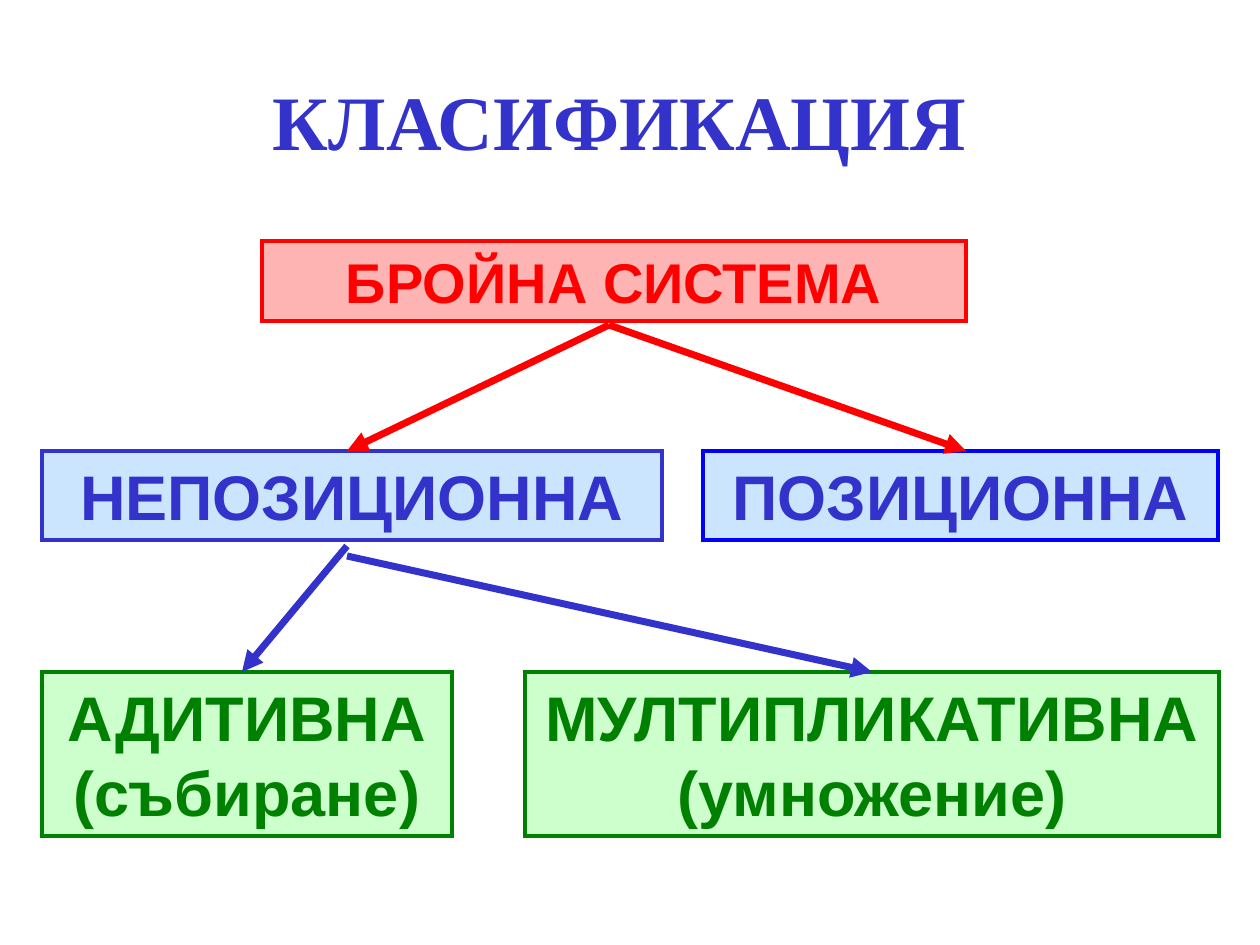
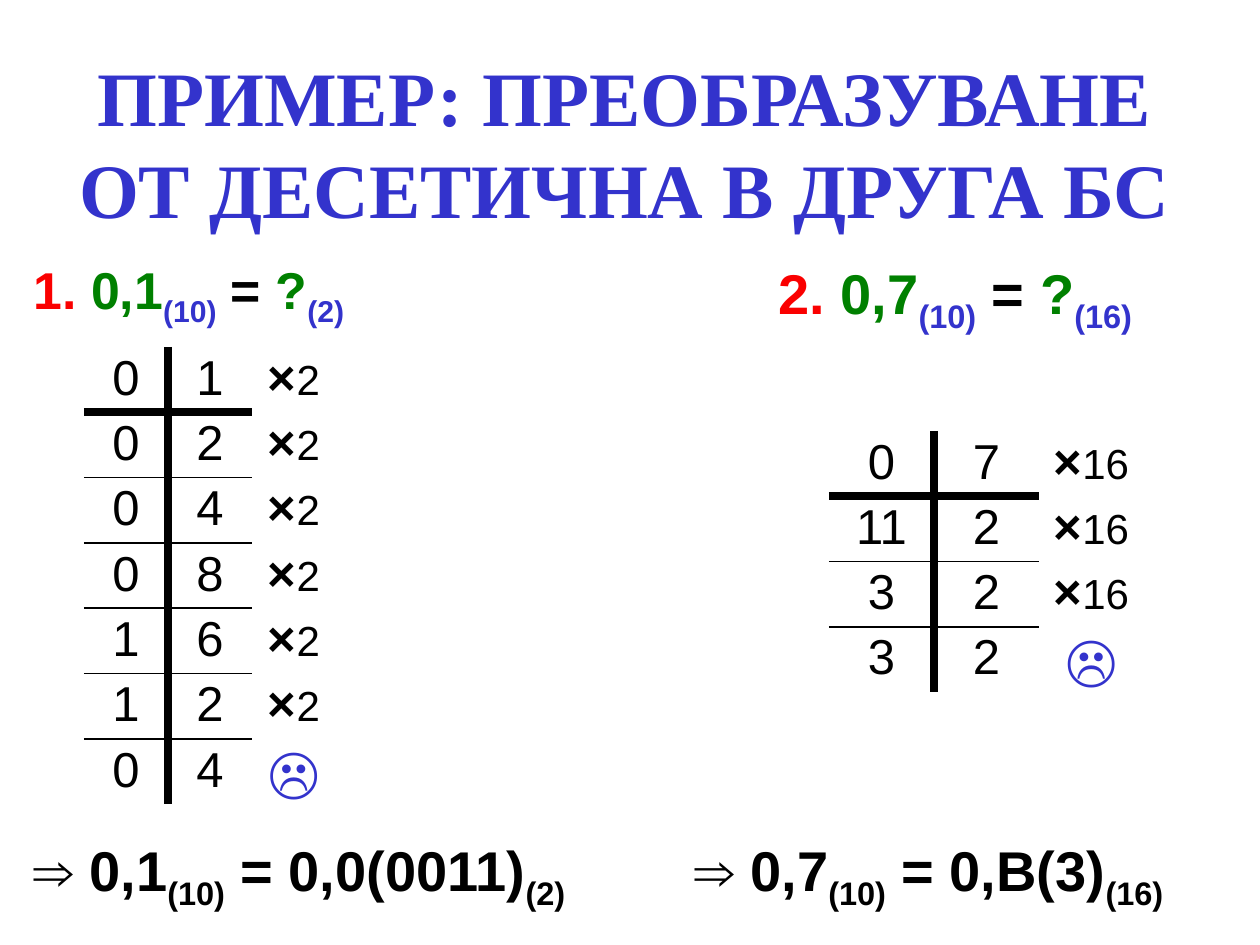
from lxml.etree import SubElement
from pptx import Presentation
from pptx.dml.color import RGBColor
from pptx.enum.shapes import MSO_CONNECTOR as Connector, MSO_SHAPE as Preset
from pptx.enum.text import MSO_ANCHOR as Anchor, PP_ALIGN as Align
from pptx.oxml.ns import qn
from pptx.util import Emu, Pt

COLORS = {
    "blue": "3333CC", "pure_blue": "0000FF", "sky": "99CCFF",
    "red": "FF0000", "number_red": "FA0000", "rose": "FF6B6B",
    "green": "008000", "mint": "CCFFCC", "black": "000000",
}
SCALE = 914400 / 126
TOP = 0
SUBSCRIPT = "-25000"
THICK, THIN = 4.5, 1

CLASSES = {
    "system": dict(text="БРОЙНА СИСТЕМА", box=(262, 241, 704, 80), size=32,
                   fill="rose", opacity=50, line="red", color="red"),
    "nonpositional": dict(text="НЕПОЗИЦИОННА", box=(42, 451, 620, 89), size=36,
                          fill="sky", opacity=50, line="blue", color="blue"),
    "positional": dict(text="ПОЗИЦИОННА", box=(703, 451, 515, 89), size=36,
                       fill="sky", opacity=50, line="pure_blue", color="blue"),
    "additive": dict(text="АДИТИВНА\n(събиране)", box=(42, 672, 410, 164), size=36,
                     fill="mint", opacity=100, line="green", color="green"),
    "multiplicative": dict(text="МУЛТИПЛИКАТИВНА\n(умножение)", box=(525, 672, 694, 164),
                           size=36, fill="mint", opacity=100, line="green", color="green"),
}
BRANCHES = [
    dict(start=(609, 325), end=(347, 451), color="red"),
    dict(start=(609, 325), end=(966, 451), color="red"),
    dict(start=(347, 546), end=(242, 672), color="blue"),
    dict(start=(347, 556), end=(872, 672), color="blue", child="multiplicative"),
]
EXAMPLES = [
    dict(number="1. ", value="0,1", base="2", answer="0,0(0011)",
         steps=["01", "02", "04", "08", "16", "12", "04"],
         heading=(21, 252, 388, 84), heading_size=29.6, heading_spacing=0.9,
         table=(84, 347, 84, 457), conclusion=(21, 829, 598, 94)),
    dict(number="2. ", value="0,7", base="16", answer="0,B(3)",
         steps=["07", ("11", "2"), "32", "32"],
         heading=(766, 252, 409, 89), heading_size=32, heading_spacing=1.0,
         table=(829, 431, 105, 261), conclusion=(682, 829, 546, 94)),
]


def px(value):
    return Emu(round(value * SCALE))


def rgb(name):
    return RGBColor.from_string(COLORS[name])


def write_text(frame, runs, size=32, color="black", bold=True, font="Arial",
               align=Align.LEFT, spacing=1.0):
    frame.word_wrap = True
    paragraph = frame.paragraphs[0]
    paragraph.alignment = align
    paragraph.line_spacing = spacing
    for text, changes in runs:
        style = dict(size=size, color=color, bold=bold, subscript=False) | changes
        for index, line in enumerate(text.split("\n")):
            if index:
                paragraph.add_line_break()
            run = paragraph.add_run()
            run.text = line
            run.font.name = font
            run.font.size = Pt(style["size"])
            run.font.bold = style["bold"]
            run.font.color.rgb = rgb(style["color"])
            if style["subscript"]:
                run.font._element.set("baseline", SUBSCRIPT)


def add_text(slide, box, runs, **style):
    frame = slide.shapes.add_textbox(*map(px, box)).text_frame
    write_text(frame, runs, **style)
    return frame


def add_title(slide, text, box):
    frame = add_text(slide, box, [(text, {})], size=44, color="blue",
                     font="Times New Roman", align=Align.CENTER)
    frame.vertical_anchor = Anchor.MIDDLE


def add_line(slide, start, end, width, color="black"):
    line = slide.shapes.add_connector(Connector.STRAIGHT, *map(px, start + end))
    line.line.color.rgb = rgb(color)
    line.line.width = Pt(width)
    SubElement(line._element.spPr, qn("a:effectLst"))
    return line


def add_class(slide, text, box, size, fill, opacity, line, color):
    shape = slide.shapes.add_shape(Preset.RECTANGLE, *map(px, box))
    shape.shadow.inherit = False
    shape.fill.solid()
    shape.fill.fore_color.rgb = rgb(fill)
    if opacity < 100:
        hue = shape._element.spPr.find(qn("a:solidFill"))[0]
        SubElement(hue, qn("a:alpha"), val=str(opacity * 1000))
    shape.line.color.rgb = rgb(line)
    shape.line.width = Pt(2)
    SubElement(shape.line._get_or_add_ln(), qn("a:miter"), lim="800000")
    shape.text_frame.vertical_anchor = Anchor.TOP
    write_text(shape.text_frame, [(text, {})], size=size, color=color, align=Align.CENTER)
    return shape


def add_branch(slide, shapes, start, end, color, child=None):
    arrow = add_line(slide, start, end, 4, color)
    SubElement(arrow.line._get_or_add_ln(), qn("a:tailEnd"), type="triangle")
    if child:
        arrow.end_connect(shapes[child], TOP)


def add_steps(slide, steps, base, box):
    left, top, column_width, height = box
    row_height = height / len(steps)
    table = slide.shapes.add_table(len(steps), 3, px(left), px(top),
                                   px(3 * column_width), px(height)).table
    table.first_row = table.horz_banding = False
    for column in table.columns:
        column.width = px(column_width)
    multiplier = [("×", dict(bold=True)), (base, dict(size=24))]
    stop = [("☹", dict(size=32, color="blue", bold=True))]
    for row, (whole, fraction) in enumerate(steps):
        table.rows[row].height = px(row_height)
        last = row == len(steps) - 1
        contents = [[(whole, {})], [(fraction, {})], stop if last else multiplier]
        for column, runs in enumerate(contents):
            cell = table.cell(row, column)
            cell.fill.background()
            cell.margin_top, cell.margin_bottom = px(9), 0
            write_text(cell.text_frame, runs, size=28, bold=False,
                       align=Align.CENTER, spacing=0.9)
    middle, right = left + column_width, left + 2 * column_width
    for row in range(1, len(steps)):
        y = top + row * row_height
        add_line(slide, (left, y), (right, y), THICK if row == 1 else THIN)
    add_line(slide, (middle, top), (middle, top + height), THICK)


def add_example(slide, number, value, base, answer, steps, heading, heading_size,
                heading_spacing, table, conclusion):
    index = dict(subscript=True)
    blue_index = dict(subscript=True, color="blue")
    green = dict(color="green")
    add_text(slide, heading, [
        (number, dict(color="number_red")), (value, green), ("(10)", blue_index),
        (" = ", {}), ("?", green), (f"({base})", blue_index),
    ], size=heading_size, spacing=heading_spacing)
    add_steps(slide, steps, base, table)
    add_text(slide, conclusion, [
        (f"⇒ {value}", {}), ("(10)", index), (f" = {answer}", {}), (f"({base})", index),
    ])


def main():
    presentation = Presentation()
    presentation.slide_width, presentation.slide_height = px(1260), px(945)
    blank = presentation.slide_layouts[6]

    slide = presentation.slides.add_slide(blank)
    add_title(slide, "КЛАСИФИКАЦИЯ", (84, 62, 1072, 116))
    shapes = {name: add_class(slide, **entry) for name, entry in CLASSES.items()}
    for branch in BRANCHES:
        add_branch(slide, shapes, **branch)

    slide = presentation.slides.add_slide(blank)
    add_title(slide, "ПРИМЕР: ПРЕОБРАЗУВАНЕ ОТ ДЕСЕТИЧНА В ДРУГА БС", (54, 52, 1142, 179))
    for example in EXAMPLES:
        add_example(slide, **example)

    presentation.save("out.pptx")


if __name__ == "__main__":
    main()
